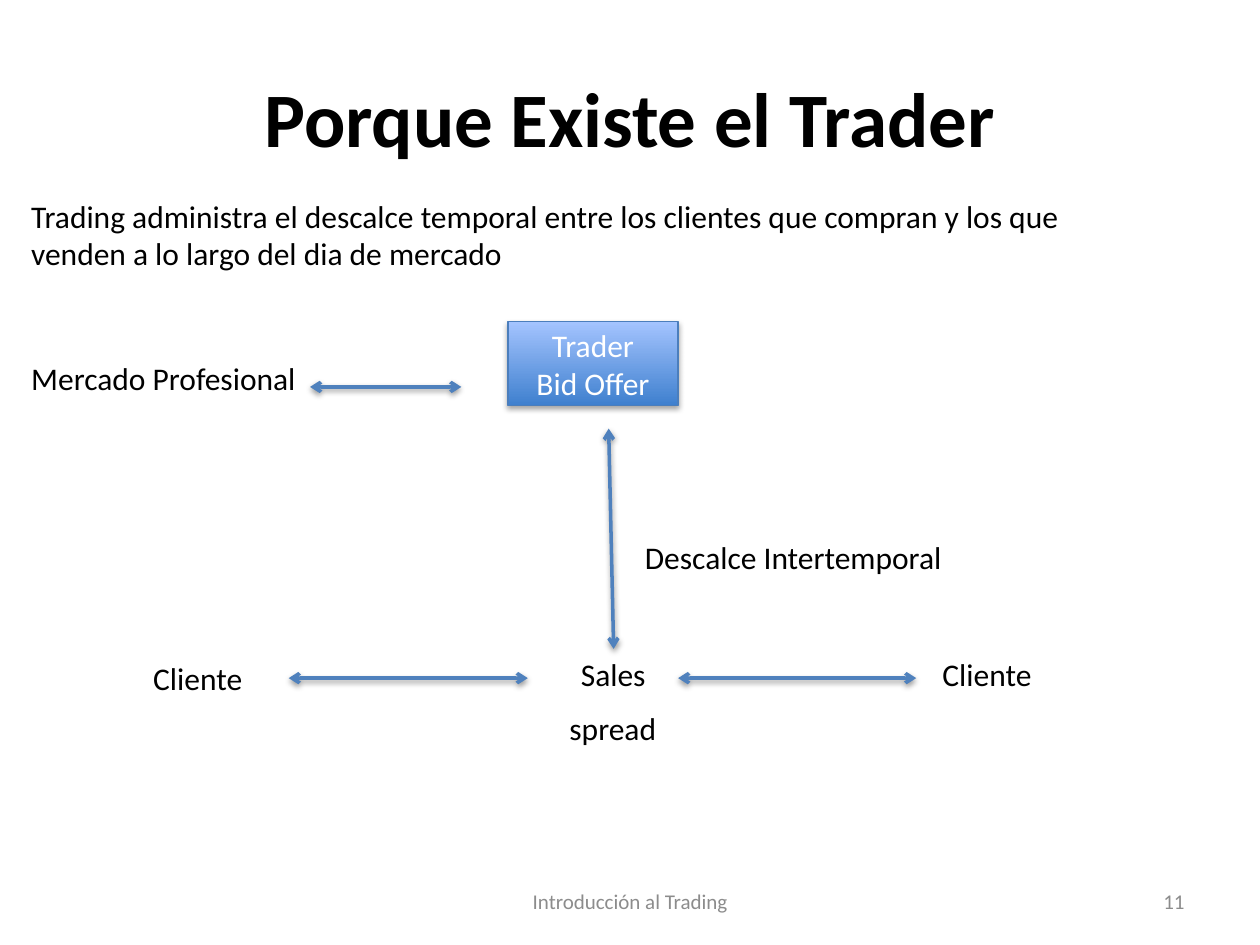
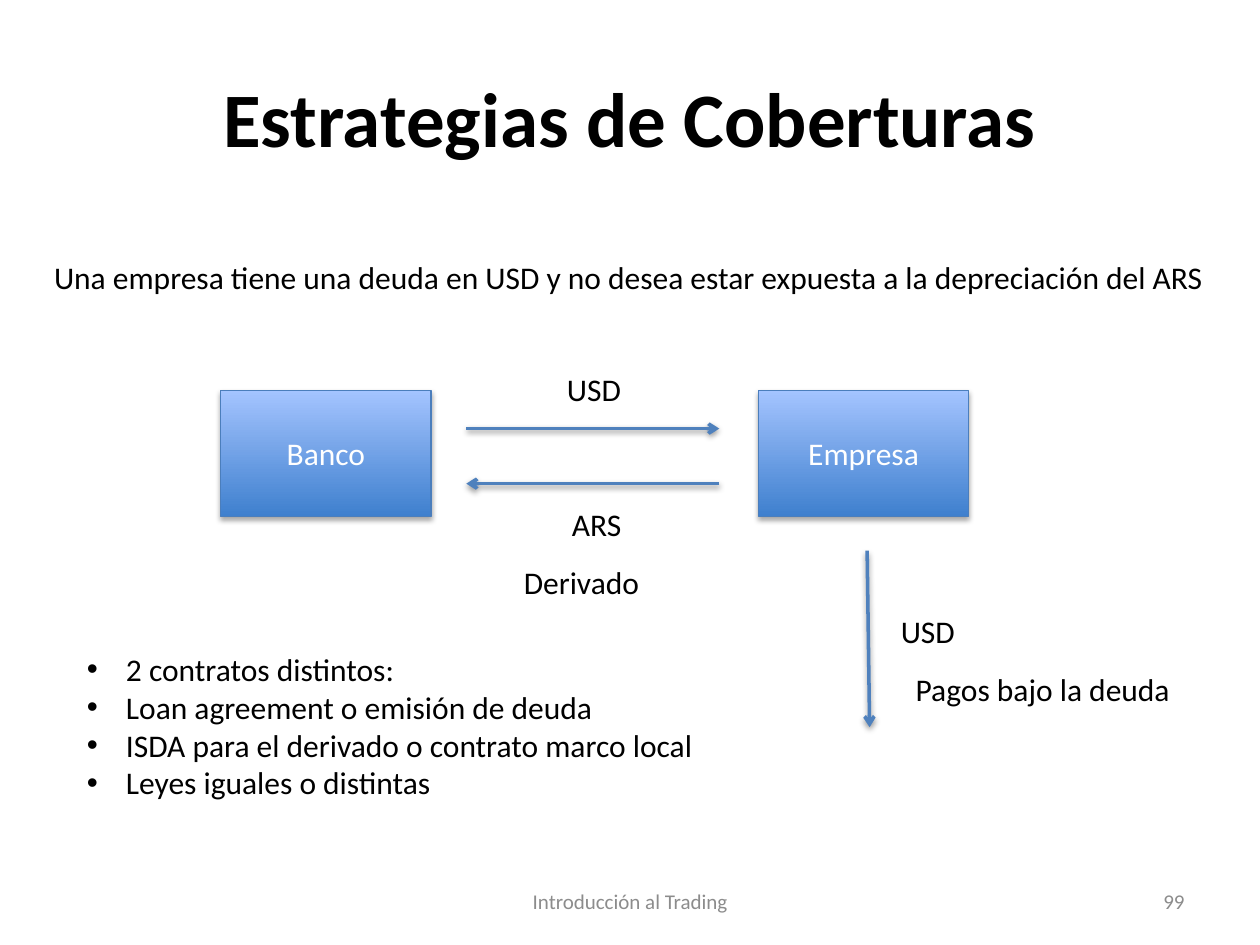
from lxml.etree import SubElement
from pptx import Presentation
from pptx.dml.color import RGBColor
from pptx.enum.shapes import MSO_CONNECTOR, MSO_SHAPE
from pptx.enum.text import MSO_ANCHOR, PP_ALIGN
from pptx.oxml.ns import qn
from pptx.util import Cm, Pt


def tint(code):
    return RGBColor.from_string(code)


class Deck:
    font = "Calibri"
    ink, pale, grey = "000000", "FFFFFF", "8C8C8C"
    arrow_ink, edge = "4F81BD", "4B7EBC"
    low, high = "3F80CE", "A4C4FF"
    row = 1.02

    def __init__(self):
        self.show = Presentation()
        self.show.slide_width, self.show.slide_height = Cm(25.4), Cm(19.05)

    def start(self, title, number):
        self.slide = self.show.slides.add_slide(self.show.slide_layouts[6])
        self.text(title, 1.27, 0.76, 22.86, 3.18, size=44, bold=True,
                  align=PP_ALIGN.CENTER, anchor=MSO_ANCHOR.MIDDLE)
        self.footer("Introducción al Trading", 8.68, 8.05, PP_ALIGN.CENTER)
        self.footer(str(number), 18.21, 5.92, PP_ALIGN.RIGHT)

    def footer(self, words, left, width, align):
        self.text(words, left, 17.65, width, size=12, color=self.grey,
                  align=align, anchor=MSO_ANCHOR.MIDDLE)

    def style(self, frame, words, size, color, align, bold=False):
        frame.text = words
        for para in frame.paragraphs:
            para.alignment = align
            font = para.font
            font.name, font.size, font.bold = self.font, Pt(size), bold
            font.color.rgb = tint(color)

    def text(self, words, left, top, width, height=row, size=18, color=ink,
             bold=False, align=PP_ALIGN.LEFT, anchor=MSO_ANCHOR.TOP, wrap=True):
        box = self.slide.shapes.add_textbox(Cm(left), Cm(top), Cm(width), Cm(height))
        frame = box.text_frame
        frame.word_wrap, frame.vertical_anchor = wrap, anchor
        self.style(frame, words, size, color, align, bold)
        return frame

    def label(self, words, left, top, width):
        self.text(words, left, top, width, wrap=False)

    def bullets(self, items, left, top, width, height):
        frame = self.text("\n".join(items), left, top, width, height, wrap=False)
        for para in frame.paragraphs:
            props = para._p.get_or_add_pPr()
            props.set("marL", str(Cm(0.79)))
            props.set("indent", str(-Cm(0.79)))
            marks = [SubElement(props, qn("a:buFont"), typeface="Arial"),
                     SubElement(props, qn("a:buChar"), char="•")]
            for spot, mark in enumerate(marks):
                props.insert(spot, mark)

    def shade(self, shape, dist, alpha):
        effects = SubElement(shape._element.spPr, qn("a:effectLst"))
        drop = SubElement(effects, qn("a:outerShdw"), blurRad=str(Pt(3.15)),
                          dist=str(Pt(dist)), dir="5400000", rotWithShape="0")
        color = SubElement(drop, qn("a:srgbClr"), val=self.ink)
        SubElement(color, qn("a:alpha"), val=str(alpha * 1000))

    def box(self, words, left, top, width, height):
        shape = self.slide.shapes.add_shape(
            MSO_SHAPE.RECTANGLE, Cm(left), Cm(top), Cm(width), Cm(height))
        shape.fill.gradient()
        shape.fill.gradient_angle = 90
        for stop, code in zip(shape.fill.gradient_stops, (self.low, self.high)):
            stop.color.rgb = tint(code)
        shape.line.color.rgb = tint(self.edge)
        shape.line.width = Pt(0.75)
        self.shade(shape, 1.8, 35)
        shape.text_frame.vertical_anchor = MSO_ANCHOR.MIDDLE
        self.style(shape.text_frame, words, 18, self.pale, PP_ALIGN.CENTER)

    def arrow(self, x1, y1, x2, y2, both=False):
        link = self.slide.shapes.add_connector(
            MSO_CONNECTOR.STRAIGHT, Cm(x1), Cm(y1), Cm(x2), Cm(y2))
        link.line.color.rgb = tint(self.arrow_ink)
        link.line.width = Pt(2)
        stroke = link._element.spPr.find(qn("a:ln"))
        for end in ("headEnd", "tailEnd") if both else ("tailEnd",):
            SubElement(stroke, qn("a:" + end), type="arrow")
        self.shade(link, 1.6, 38)


deck = Deck()

deck.start("Porque Existe el Trader", 11)
deck.text("Trading administra el descalce temporal entre los clientes que compran "
          "y los que venden a lo largo del dia de mercado", 0.38, 3.84, 22.86, 1.8)
deck.box("Trader\nBid Offer", 10.24, 6.48, 3.43, 1.7)
for label in (
    ("Mercado Profesional", 0.38, 7.11, 5.94),
    ("Descalce Intertemporal", 12.75, 10.72, 6.6),
    ("Cliente", 2.84, 13.16, 2.34),
    ("Sales", 11.46, 13.08, 1.83),
    ("Cliente", 18.75, 13.08, 2.34),
    ("spread", 11.23, 14.17, 2.29),
):
    deck.label(*label)
for ends in (
    (6.25, 7.8, 9.3, 7.8),
    (12.27, 8.64, 12.37, 13.08),
    (5.82, 13.67, 10.64, 13.67),
    (13.67, 13.67, 18.47, 13.67),
):
    deck.arrow(*ends, both=True)

deck.start("Estrategias de Coberturas", 99)
deck.text("Una empresa tiene una deuda en USD y no desea estar expuesta "
          "a la depreciación del ARS", 0.84, 5.08, 23.93)
for name, left in (("Banco", 4.45), ("Empresa", 15.29)):
    deck.box(name, left, 7.87, 4.24, 2.54)
for ends in (
    (9.4, 8.64, 14.5, 8.64),
    (14.5, 9.75, 9.4, 9.75),
    (17.48, 11.1, 17.53, 14.66),
):
    deck.arrow(*ends)
for label in (
    ("USD", 11.18, 7.34, 1.63),
    ("ARS", 11.28, 10.06, 1.52),
    ("Derivado", 10.31, 11.23, 2.87),
    ("USD", 17.91, 12.22, 1.63),
    ("Pagos bajo la deuda", 18.21, 13.39, 5.72),
):
    deck.label(*label)
deck.bullets(("2 contratos distintos:", "Loan agreement o emisión de deuda",
              "ISDA para el derivado o contrato marco local",
              "Leyes iguales o distintas"), 1.5, 12.98, 12.88, 3.33)

deck.show.save("out.pptx")
